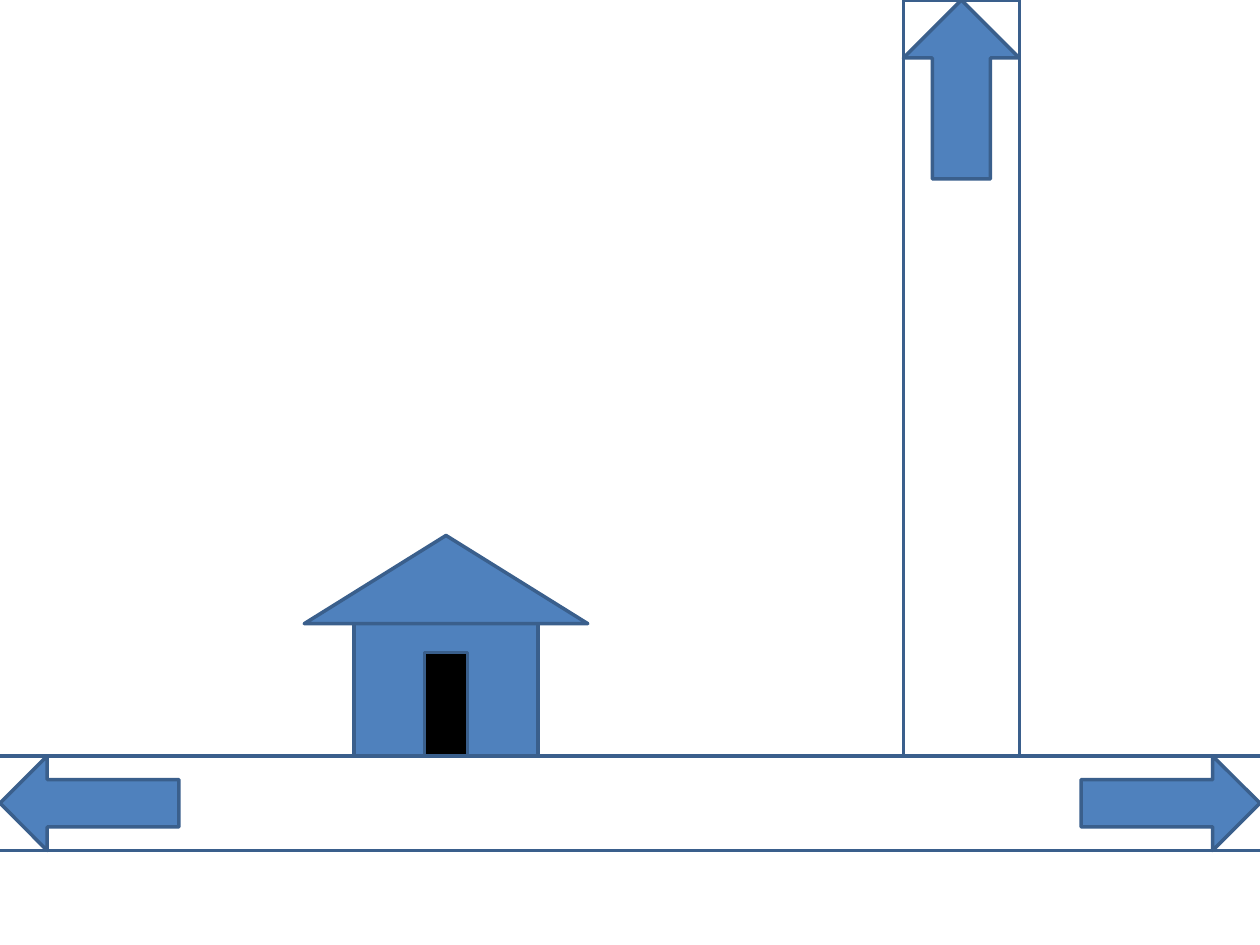
from pptx import Presentation
from pptx.dml.color import RGBColor
from pptx.enum.shapes import MSO_SHAPE
from pptx.util import Inches, Pt

RECT = MSO_SHAPE.RECTANGLE
TRIANGLE = MSO_SHAPE.ISOSCELES_TRIANGLE
PROCESS = MSO_SHAPE.FLOWCHART_PROCESS
UP, LEFT, RIGHT = MSO_SHAPE.UP_ARROW, MSO_SHAPE.LEFT_ARROW, MSO_SHAPE.RIGHT_ARROW

WIDTH, HEIGHT = 10, 7.5
WHITE, BLUE, BLACK, OUTLINE = "FFFFFF", "4F81BD", "000000", "3A5F8C"
ROAD_TOP, ROAD_HEIGHT = HEIGHT * 0.8, HEIGHT * 0.1
LANE_LEFT, LANE_WIDTH = 7.17, 0.92
ARROW_LENGTH = 1.42
HOUSE_CENTER = 3.54


def color(hex_value):
    return RGBColor.from_string(hex_value)


def add_block(shapes, kind, x, y, w, h, fill):
    sp = shapes.add_shape(kind, Inches(x), Inches(y), Inches(w), Inches(h))
    sp.shadow.inherit = False
    sp.fill.solid()
    sp.fill.fore_color.rgb = color(fill)
    sp.line.color.rgb = color(OUTLINE)
    sp.line.width = Pt(2)


def add_roads(shapes):
    add_block(shapes, RECT, LANE_LEFT, 0, LANE_WIDTH, ROAD_TOP + ROAD_HEIGHT, WHITE)
    add_block(shapes, RECT, -0.33, ROAD_TOP, 11.42, ROAD_HEIGHT, WHITE)


def add_house(shapes):
    house = shapes.add_group_shape().shapes
    wall_height, roof_height = 1.05, 0.7
    roof_top = ROAD_TOP - wall_height - roof_height
    for kind, bottom_gap, w, h, fill in (
        (RECT, 0, 1.46, wall_height, BLUE),
        (TRIANGLE, wall_height, 2.25, roof_height, BLUE),
        (PROCESS, 0, 0.34, 0.82, BLACK),
    ):
        add_block(house, kind, HOUSE_CENTER - w / 2, ROAD_TOP - bottom_gap - h, w, h, fill)


def add_arrows(shapes):
    add_block(shapes, UP, LANE_LEFT, 0, LANE_WIDTH, ARROW_LENGTH, BLUE)
    for kind, x in ((LEFT, 0), (RIGHT, WIDTH - ARROW_LENGTH)):
        add_block(shapes, kind, x, ROAD_TOP, ARROW_LENGTH, ROAD_HEIGHT, BLUE)


def main():
    prs = Presentation()
    prs.slide_width, prs.slide_height = Inches(WIDTH), Inches(HEIGHT)
    s = prs.slides.add_slide(prs.slide_layouts[6])
    add_roads(s.shapes)
    add_house(s.shapes)
    add_arrows(s.shapes)
    prs.save("out.pptx")


if __name__ == "__main__":
    main()
